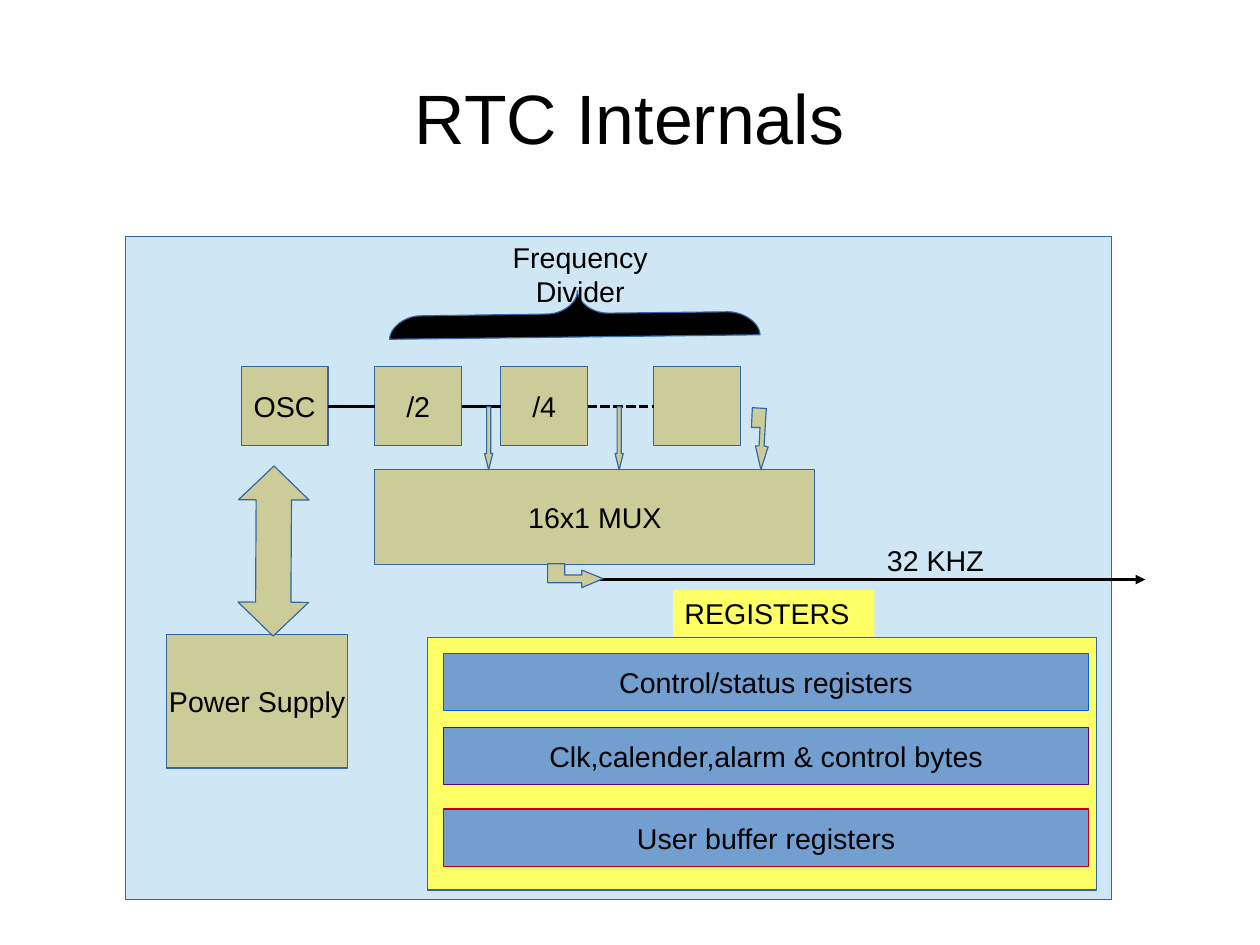
from pptx import Presentation
from pptx.dml.color import RGBColor
from pptx.enum.dml import MSO_LINE
from pptx.enum.shapes import MSO_CONNECTOR, MSO_SHAPE as SHAPE
from pptx.enum.text import MSO_ANCHOR as ANCHOR, PP_ALIGN as ALIGN
from pptx.oxml.ns import qn
from pptx.util import Cm, Pt
from lxml import etree

COLORS = {
    "chip": "CFE7F5", "block": "CCCC99", "bank": "FFFF66", "register": "729FCF",
    "edge": "3465A4", "black": "000000",
    "blue": "0066CC", "purple": "660066", "red": "C5000B",
}


def style(sp, fill, edge="edge"):
    """Give a shape a flat fill and a hairline edge, or no edge."""
    sp.shadow.inherit = False
    sp.fill.solid()
    sp.fill.fore_color.rgb = RGBColor.from_string(COLORS[fill])
    if edge:
        sp.line.color.rgb = RGBColor.from_string(COLORS[edge])
        sp.line.width = Pt(0)
    else:
        sp.line.fill.background()
    return sp


def write(sp, lines, size=18, align=ALIGN.CENTER, anchor=ANCHOR.MIDDLE, wrap=False):
    """Put one paragraph in a shape, with a break between its lines."""
    tf = sp.text_frame
    tf.word_wrap = wrap
    tf.vertical_anchor = anchor
    p = tf.paragraphs[0]
    p.alignment = align
    for i, line in enumerate(lines):
        if i:
            p.add_line_break()
        r = p.add_run()
        r.text = line
        r.font.size = Pt(size)
        r.font.name = "Arial"
        r.font.color.rgb = RGBColor.from_string(COLORS["black"])


prs = Presentation()
prs.slide_width, prs.slide_height = Cm(28), Cm(21)
s = prs.slides.add_slide(prs.slide_layouts[6])
shapes = s.shapes

title = shapes.add_textbox(Cm(1.4), Cm(0.84), Cm(25.2), Cm(3.5))
write(title, ["RTC Internals"], size=44, wrap=True)

# Chip and its blocks
style(shapes.add_shape(SHAPE.RECTANGLE, Cm(2.79), Cm(5.26), Cm(21.92), Cm(14.73)), "chip")
blocks = []
for text, x, y, w, h in [
    ("Power Supply", 3.71, 14.1, 4.01, 2.97),
    ("16x1 MUX", 8.33, 10.44, 9.78, 2.11),
    ("OSC", 5.36, 8.15, 1.93, 1.75),
    ("/2", 8.33, 8.15, 1.93, 1.75),
    ("/4", 11.13, 8.15, 1.93, 1.75),
    ("", 14.53, 8.15, 1.93, 1.75),
]:
    sp = style(shapes.add_shape(SHAPE.RECTANGLE, Cm(x), Cm(y), Cm(w), Cm(h)), "block")
    if text:
        write(sp, [text])
    blocks.append(sp)

# Divider chain and output line
stages = blocks[2:]
wires = []
for left, right in zip(stages, stages[1:]):
    wire = shapes.add_connector(MSO_CONNECTOR.STRAIGHT, 0, 0, 0, 0)
    wire.begin_connect(left, 3)
    wire.end_connect(right, 1)
    wires.append(wire)
wires[-1].line.dash_style = MSO_LINE.SQUARE_DOT
output = shapes.add_connector(MSO_CONNECTOR.STRAIGHT, Cm(12.17), Cm(12.88), Cm(25.45), Cm(12.88))
for wire in wires + [output]:
    wire.line.color.rgb = RGBColor.from_string(COLORS["black"])
    wire.line.width = Pt(0)
    etree.SubElement(wire._element.spPr, qn("a:effectLst"))
etree.SubElement(output.line._get_or_add_ln(), qn("a:tailEnd"), type="triangle")

# Block arrows
for x in (10.77, 13.67):
    tap = style(shapes.add_shape(SHAPE.DOWN_ARROW, Cm(x), Cm(9.04), Cm(0.18), Cm(1.4)), "block")
    tap.adjustments[0], tap.adjustments[1] = 0.5, 2
power = style(shapes.add_shape(SHAPE.LEFT_RIGHT_ARROW, Cm(4.19), Cm(11.46), Cm(3.78), Cm(1.57)), "block")
power.adjustments[0], power.adjustments[1] = 0.5, 0.48
power.rotation = 270.3

# Bent arrows and the brace, whose curves are sampled as short segments
mux_out = [(12.93, 12.67), (12.93, 12.78), (12.55, 12.78), (12.55, 12.53), (12.17, 12.53),
           (12.17, 12.95), (12.93, 12.95), (12.93, 13.06), (13.4, 12.86)]
last_tap = [(16.79, 9.91), (16.87, 9.91), (16.89, 9.5), (16.7, 9.5), (16.72, 9.06),
            (17.03, 9.08), (16.98, 9.91), (17.07, 9.93), (16.91, 10.44)]
brace = []
for curve in [
    [(8.66, 7.54), (8.66, 7.29), (8.99, 7.02), (9.35, 7.02)],
    [(12.16, 6.98), (12.5, 6.98), (12.84, 6.73), (12.83, 6.46)],
    [(12.83, 6.46), (12.85, 6.73), (13.18, 6.97), (13.53, 6.96)],
    [(16.18, 6.93), (16.54, 6.93), (16.89, 7.19), (16.89, 7.44)],
]:
    for t in (i / 12 for i in range(13)):
        weights = ((1 - t) ** 3, 3 * t * (1 - t) ** 2, 3 * t * t * (1 - t), t ** 3)
        brace.append([sum(k * pt[axis] for k, pt in zip(weights, curve)) for axis in (0, 1)])
for outline, fill in [(mux_out, "block"), (last_tap, "block"), (brace, "black")]:
    points = [(Cm(x), Cm(y)) for x, y in outline]
    builder = shapes.build_freeform(*points[0])
    builder.add_line_segments(points[1:], close=True)
    style(builder.convert_to_shape(), fill)

divider = shapes.add_textbox(Cm(10.19), Cm(5.21), Cm(5.41), Cm(1.68))
write(divider, ["Frequency", "Divider"], anchor=ANCHOR.TOP, wrap=True)

# Register bank
style(shapes.add_shape(SHAPE.RECTANGLE, Cm(9.5), Cm(14.17), Cm(14.86), Cm(5.61)), "bank")
tab = style(shapes.add_shape(SHAPE.RECTANGLE, Cm(14.96), Cm(13.11), Cm(4.47), Cm(1.04)), "bank", None)
write(tab, ["REGISTERS"], align=ALIGN.LEFT, anchor=ANCHOR.TOP, wrap=True)
for text, y, edge in [
    ("Control/status registers", 14.53, "blue"),
    ("Clk,calender,alarm & control bytes", 16.17, "purple"),
    ("User buffer registers", 17.98, "red"),
]:
    sp = style(shapes.add_shape(SHAPE.RECTANGLE, Cm(9.86), Cm(y), Cm(14.33), Cm(1.27)), "register", edge)
    write(sp, [text])

clock = shapes.add_textbox(Cm(19.46), Cm(11.94), Cm(4.17), Cm(0.97))
write(clock, ["32 KHZ"], align=ALIGN.LEFT, anchor=ANCHOR.TOP, wrap=True)

prs.save("out.pptx")
